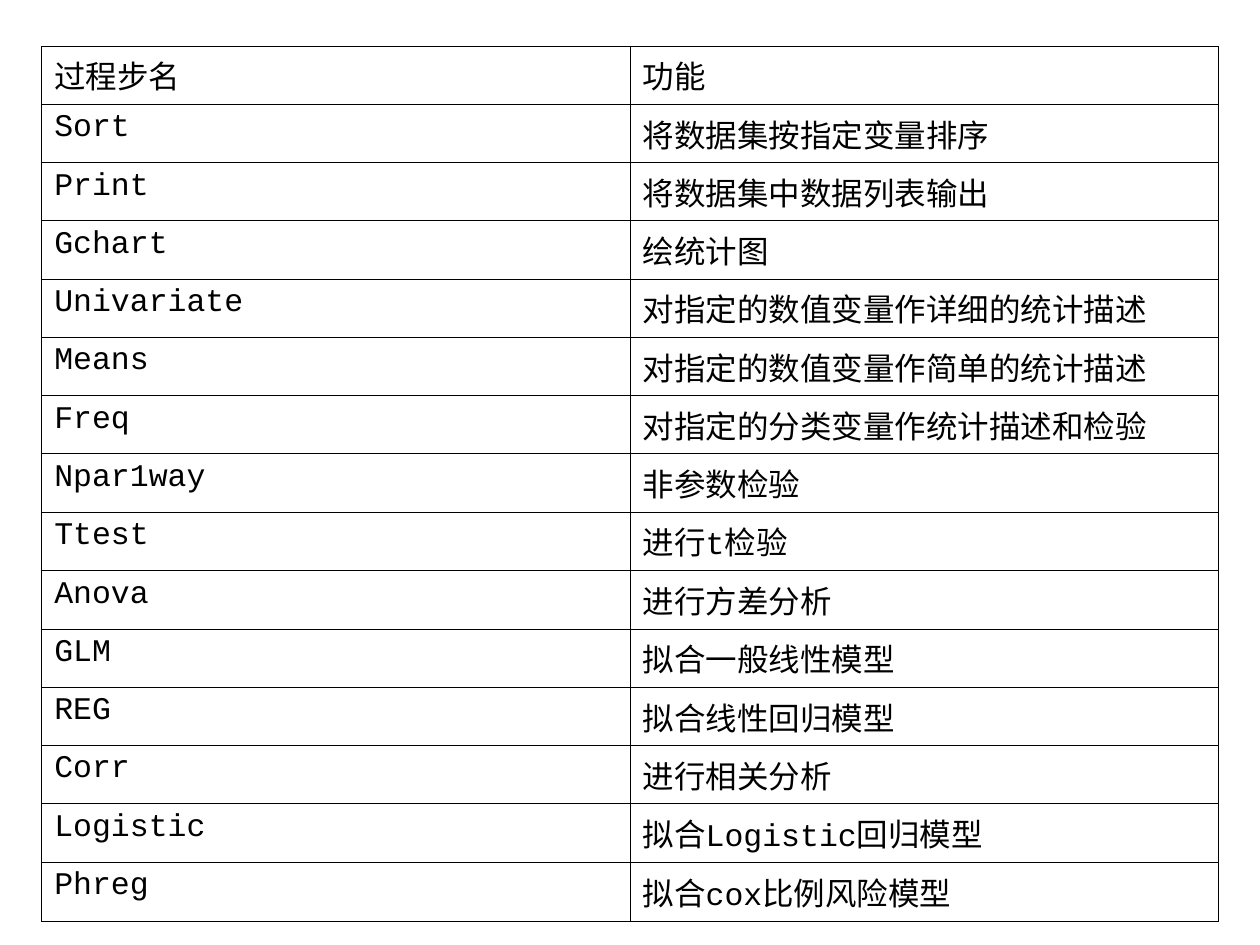
from lxml.etree import SubElement
from pptx import Presentation
from pptx.dml.color import RGBColor
from pptx.oxml.ns import qn
from pptx.util import Cm, Pt

BLACK = RGBColor(0x00, 0x00, 0x00)
FONT = "Courier New"
BORDER_WIDTH = Pt(0.45)
HANGING_INDENT = Cm(0.95)
ROW_HEIGHT = Cm(1.15)
COLUMN_WIDTH = Cm(11.86)

ROWS = [
    ("过程步名", "功能"),
    ("Sort", "将数据集按指定变量排序"),
    ("Print", "将数据集中数据列表输出"),
    ("Gchart", "绘统计图"),
    ("Univariate", "对指定的数值变量作详细的统计描述"),
    ("Means", "对指定的数值变量作简单的统计描述"),
    ("Freq", "对指定的分类变量作统计描述和检验"),
    ("Npar1way", "非参数检验"),
    ("Ttest", "进行t检验"),
    ("Anova", "进行方差分析"),
    ("GLM", "拟合一般线性模型"),
    ("REG", "拟合线性回归模型"),
    ("Corr", "进行相关分析"),
    ("Logistic", "拟合Logistic回归模型"),
    ("Phreg", "拟合cox比例风险模型"),
]


def add_borders(cell):
    properties = cell._tc.get_or_add_tcPr()
    for side in ("a:lnL", "a:lnR", "a:lnT", "a:lnB"):
        line = SubElement(properties, qn(side), w=str(int(BORDER_WIDTH)))
        fill = SubElement(line, qn("a:solidFill"))
        SubElement(fill, qn("a:srgbClr"), val=str(BLACK))


deck = Presentation()
deck.slide_width = Cm(25.4)
deck.slide_height = Cm(19.05)
page = deck.slides.add_slide(deck.slide_layouts[6])

table = page.shapes.add_table(
    len(ROWS), 2, Cm(0.84), Cm(0.93), COLUMN_WIDTH * 2, ROW_HEIGHT * len(ROWS)
).table
table.first_row = False
table.horz_banding = False
for column in table.columns:
    column.width = COLUMN_WIDTH

for row, texts in zip(table.rows, ROWS):
    row.height = ROW_HEIGHT
    for cell, text in zip(row.cells, texts):
        add_borders(cell)
        cell.fill.background()
        para = cell.text_frame.paragraphs[0]
        indents = para._p.get_or_add_pPr()
        indents.set("marL", str(int(HANGING_INDENT)))
        indents.set("indent", str(-int(HANGING_INDENT)))
        span = para.add_run()
        span.text = text
        span.font.name = FONT
        span.font.size = Pt(18)
        span.font.color.rgb = BLACK

deck.save("out.pptx")
